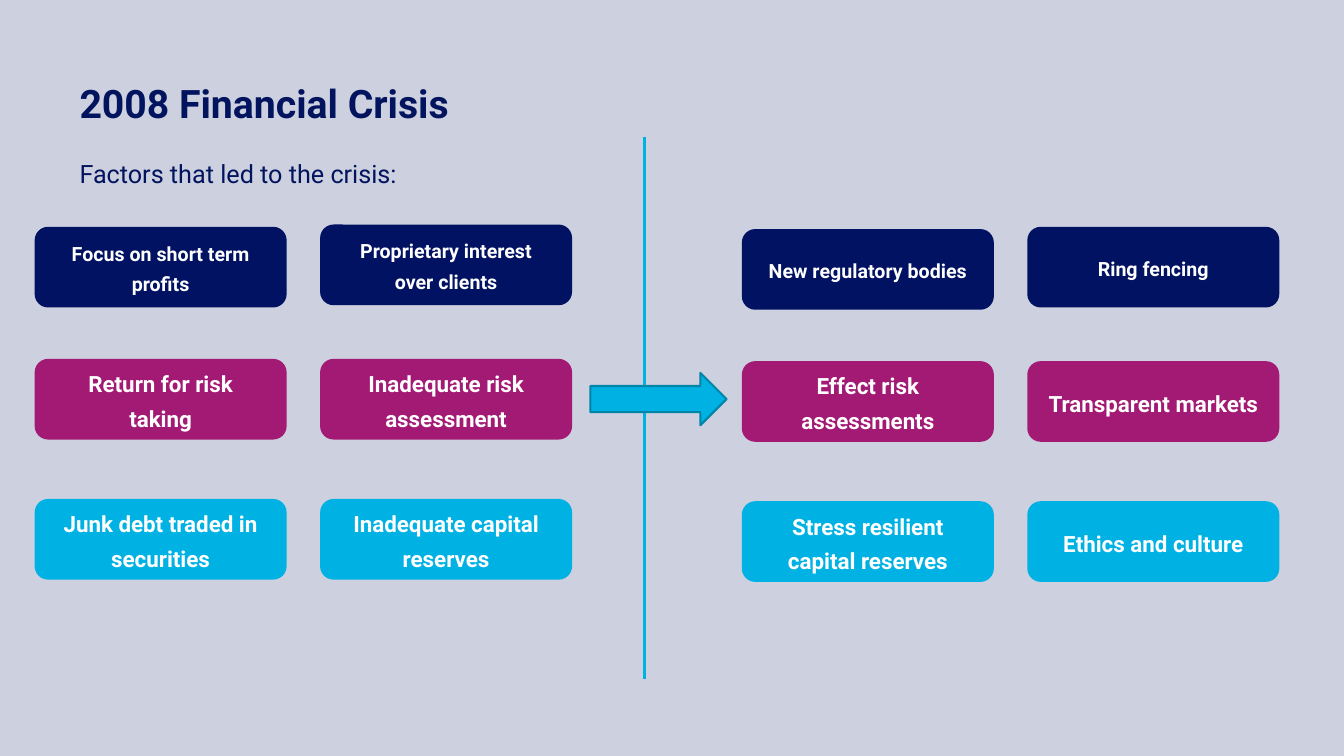
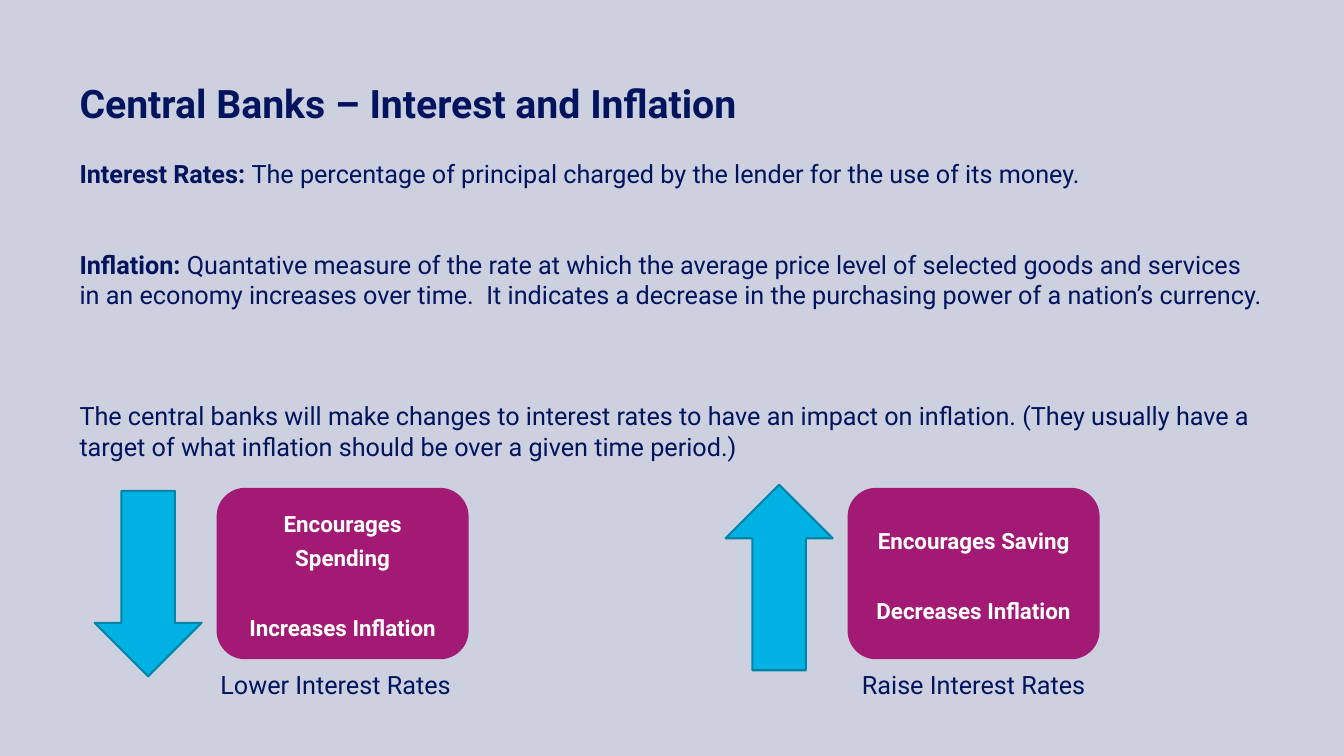
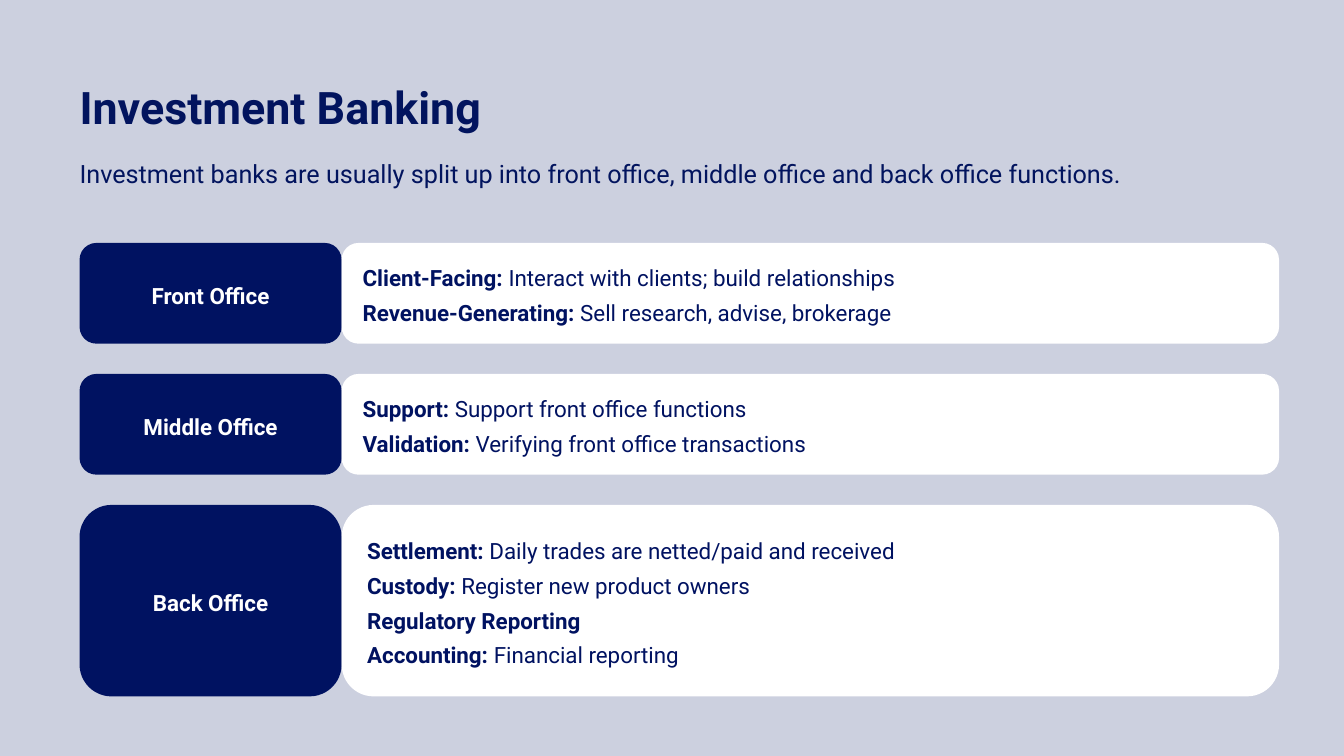
import pptx
import pptx.dml.color
import pptx.enum.shapes
import pptx.enum.text
import pptx.oxml.ns
import pptx.util
import lxml.etree

NAVY, INK, MAGENTA, CYAN = "001261", "02145E", "A31A75", "00B2E3"
WHITE, TEAL, BACKDROP = "FFFFFF", "0084A8", "CCD0DF"
FONT = "Roboto"
MARGIN = 5.92
BOX_WIDTH = 18.75

color = pptx.dml.color.RGBColor.from_string
shapes = pptx.enum.shapes.MSO_SHAPE
alignment = pptx.enum.text.PP_ALIGN

presentation = pptx.Presentation()
presentation.slide_width = pptx.util.Inches(13.333)
presentation.slide_height = pptx.util.Inches(7.5)
across = presentation.slide_width / 100
down = presentation.slide_height / 100


def place(slide, kind, left, top, width, height, fill=None, line=None):
    """Add a shape, or a text box if kind is None; lengths are percent of the slide."""
    frame = [int(left * across), int(top * down), int(width * across), int(height * down)]
    if kind is None:
        return slide.shapes.add_textbox(*frame)
    shape = slide.shapes.add_shape(kind, *frame)
    shape.shadow.inherit = False
    shape.fill.solid()
    shape.fill.fore_color.rgb = color(fill)
    if line:
        shape.line.color.rgb = color(line)
        shape.line.width = pptx.util.Pt(1.5)
    else:
        shape.line.fill.background()
    return shape


def write(shape, paragraphs, size, ink, align=alignment.LEFT, boxed=True):
    """Fill a shape with paragraphs of (bold text, plain text, space before)."""
    frame = shape.text_frame
    frame.word_wrap = True
    inset = pptx.util.Inches(0.16 if boxed else 0)
    frame.margin_left = frame.margin_top = frame.margin_right = inset
    frame.margin_bottom = pptx.util.Inches(0.2 if boxed else 0)
    anchors = pptx.enum.text.MSO_ANCHOR
    frame.vertical_anchor = anchors.MIDDLE if boxed else anchors.TOP
    for index, (strong, plain, gap) in enumerate(paragraphs):
        paragraph = frame.paragraphs[0] if index == 0 else frame.add_paragraph()
        paragraph.alignment = align
        paragraph.space_before = pptx.util.Pt(gap)
        paragraph.space_after = pptx.util.Pt(0 if boxed else 10.9)
        paragraph.line_spacing = 1.3 if boxed else 1.0
        paragraph.font.name = FONT
        paragraph.font.size = pptx.util.Pt(size)
        paragraph.font.color.rgb = color(ink)
        for text, bold in ((strong, True), (plain, False)):
            if text:
                run = paragraph.add_run()
                run.text = text
                run.font.bold = bold


# Shared background, titles and introductions
background = presentation.slide_master.background.fill
background.solid()
background.fore_color.rgb = color(BACKDROP)

openings = [
    ("2008 Financial Crisis", 28, [("", "Factors that led to the crisis:", 0)]),
    ("Central Banks – Interest and Inflation", 28, [
        ("Interest Rates: ", "The percentage of principal charged by the lender for the use "
         "of its money.", 0),
        ("Inflation: ", "Quantative measure of the rate at which the average price level of "
         "selected goods and services in an economy increases over time.  It indicates a "
         "decrease in the purchasing power of a nation’s currency.", 32.5),
        ("", "The central banks will make changes to interest rates to have an impact on "
         "inflation. (They usually have a target of what inflation should be over a given "
         "time period.)", 54)]),
    ("Investment Banking", 32, [
        ("", "Investment banks are usually split up into front office, middle office and "
         "back office functions.", 0)]),
]
for title, title_size, introduction in openings:
    slide = presentation.slides.add_slide(presentation.slide_layouts[6])
    write(place(slide, None, MARGIN, 10.5, 65.4, 13.2), [(title, "", 0)],
          title_size, INK, boxed=False)
    write(place(slide, None, MARGIN, 20.93, 88.2, 72.93), introduction, 18, INK, boxed=False)
crisis, central_banks, investment = presentation.slides

# Crisis: divider and arrow between causes and responses
divider = crisis.shapes.add_connector(
    pptx.enum.shapes.MSO_CONNECTOR.STRAIGHT,
    int(47.93 * across), int(18.13 * down), int(47.93 * across), int(89.87 * down))
divider.line.color.rgb = color(CYAN)
divider.line.width = pptx.util.Pt(2.25)
lxml.etree.SubElement(divider._element.spPr, pptx.oxml.ns.qn("a:effectLst"))
place(crisis, shapes.RIGHT_ARROW, 43.93, 49.33, 10.13, 6.93, CYAN, TEAL)

# Crisis: two grids, each of three rows and two columns
row_styles = [(30, NAVY, 14), (47.47, MAGENTA, 16), (66, CYAN, 16)]
grids = [
    (2.58, 0, [
        ("Focus on short term profits", "Proprietary interest over clients"),
        ("Return for risk taking", "Inadequate risk assessment"),
        ("Junk debt traded in securities", "Inadequate capital reserves")]),
    (55.2, 0.3, [
        ("New regulatory bodies", "Ring fencing"),
        ("Effect risk assessments", "Transparent markets"),
        ("Stress resilient capital reserves", "Ethics and culture")]),
]
for grid_left, drop, rows in grids:
    for row, (labels, (top, fill, size)) in enumerate(zip(rows, row_styles)):
        for column, label in enumerate(labels):
            lift = 0.3 if row == 0 and column == 1 else 0
            box = place(crisis, shapes.ROUNDED_RECTANGLE, grid_left + column * 21.24,
                        top + drop - lift, BOX_WIDTH, 10.67, fill)
            write(box, [(label, "", 0)], size, WHITE, alignment.CENTER)

# Central banks: effects of lower and higher rates
effects = [
    (shapes.DOWN_ARROW, 7.05, 64.93, 16.12, 15.6, "Encourages Spending",
     "Increases Inflation", "Lower Interest Rates"),
    (shapes.UP_ARROW, 54, 64.13, 63.07, 63.07, "Encourages Saving",
     "Decreases Inflation", "Raise Interest Rates"),
]
for arrow, arrow_left, arrow_top, box_left, caption_left, habit, result, caption in effects:
    box = place(central_banks, shapes.ROUNDED_RECTANGLE, box_left, 64.53,
                BOX_WIDTH, 22.67, MAGENTA)
    write(box, [(habit, "", 0), (result, "", 25)], 16, WHITE, alignment.CENTER)
    place(central_banks, arrow, arrow_left, arrow_top, 7.95, 24.53, CYAN, TEAL)
    write(place(central_banks, None, caption_left, 88.53, BOX_WIDTH, 6),
          [("", caption, 0)], 18, INK, alignment.CENTER, boxed=False)

# Investment banking: one band for each office
offices = [
    ("Front Office", 13.33, [
        ("Client-Facing: ", "Interact with clients; build relationships", 0),
        ("Revenue-Generating: ", "Sell research, advise, brokerage", 0)]),
    ("Middle Office", 13.33, [
        ("Support: ", "Support front office functions", 0),
        ("Validation: ", "Verifying front office transactions", 0)]),
    ("Back Office", 25.33, [
        ("Settlement: ", "Daily trades are netted/paid and received", 0),
        ("Custody: ", "Register new product owners", 0),
        ("Regulatory Reporting", "", 0),
        ("Accounting: ", "Financial reporting", 0)]),
]
band_top, name_width, band_gap = 32.13, 19.5, 4
for office, height, duties in offices:
    name_box = place(investment, shapes.ROUNDED_RECTANGLE, MARGIN, band_top,
                     name_width, height, NAVY)
    write(name_box, [(office, "", 0)], 16, WHITE, alignment.CENTER)
    duty_box = place(investment, shapes.ROUNDED_RECTANGLE, MARGIN + name_width, band_top,
                     69.75, height, WHITE)
    write(duty_box, duties, 16, NAVY)
    band_top += height + band_gap

presentation.save("out.pptx")
